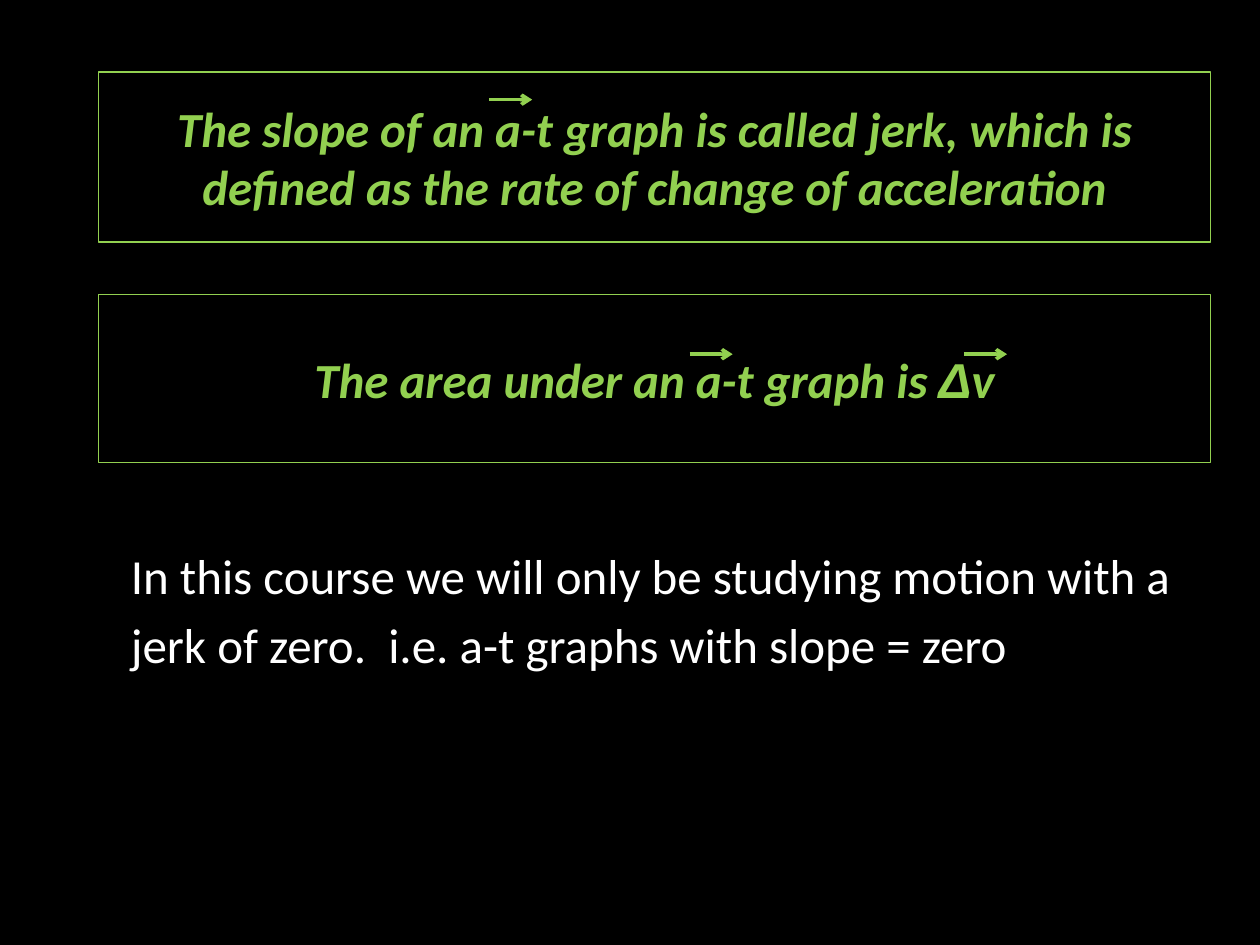
from pptx import Presentation, util as u
from pptx.dml.color import RGBColor
from pptx.enum import shapes, text
from pptx.oxml.ns import qn
from lxml import etree

GREEN = RGBColor(0x92, 0xD0, 0x50)
WHITE = RGBColor(0xFF, 0xFF, 0xFF)
BLACK = RGBColor(0, 0, 0)

BOX_LEFT, BOX_WIDTH, ARROW_LENGTH = 1.98, 22.43, 0.87
RULES = [
    dict(top=1.45, height=3.43, arrow_y=2.01, arrows=[9.86],
         runs=[("The slope of an a-t graph is called jerk, which is "
                "defined as the rate of change of acceleration", "Calibri")]),
    dict(top=5.94, height=3.38, arrow_y=7.14, arrows=[13.9, 19.43],
         runs=[("The area under an a-t graph is ", "Calibri"),
               ("Δ", "Arial"), ("v", "Calibri")]),
]
NOTE = ["In this course we will only be studying motion with a",
        "jerk of zero.  i.e. a-t graphs with slope = zero"]


def format_paragraph(p, color):
    p.space_before = u.Pt(5.6)
    p.font.size = u.Pt(28)
    p.font.name = "Calibri"
    p.font.color.rgb = color


def add_box(parent, rule):
    sp = parent.add_shape(shapes.MSO_SHAPE.RECTANGLE, u.Cm(BOX_LEFT), u.Cm(rule["top"]),
                          u.Cm(BOX_WIDTH), u.Cm(rule["height"]))
    sp.shadow.inherit = False
    sp.fill.background()
    sp.line.color.rgb = GREEN
    sp.line.width = u.Pt(0.75)
    tf = sp.text_frame
    tf.word_wrap = True
    tf.vertical_anchor = text.MSO_ANCHOR.MIDDLE
    p = tf.paragraphs[0]
    p.alignment = text.PP_ALIGN.CENTER
    format_paragraph(p, GREEN)
    p.font.bold = p.font.italic = True
    for words, font in rule["runs"]:
        r = p.add_run()
        r.text = words
        r.font.name = font


def add_arrow(parent, x, y):
    cx = parent.add_connector(shapes.MSO_CONNECTOR.STRAIGHT, u.Cm(x), u.Cm(y),
                              u.Cm(x + ARROW_LENGTH), u.Cm(y))
    cx.line.color.rgb = GREEN
    cx.line.width = u.Pt(2)
    etree.SubElement(cx.line._get_or_add_ln(), qn("a:tailEnd"), type="arrow")
    etree.SubElement(cx._element.spPr, qn("a:effectLst"))


prs = Presentation()
prs.slide_width, prs.slide_height = u.Cm(25.4), u.Cm(19.05)
s = prs.slides.add_slide(prs.slide_layouts[6])
s.background.fill.solid()
s.background.fill.fore_color.rgb = BLACK

for rule in RULES:
    group = s.shapes.add_group_shape().shapes
    add_box(group, rule)
    for x in rule["arrows"]:
        add_arrow(group, x, rule["arrow_y"])

tf = s.shapes.add_textbox(u.Cm(2.39), u.Cm(10.87), u.Cm(22.02), u.Cm(2.67)).text_frame
tf.word_wrap = True
for i, line in enumerate(NOTE):
    p = tf.add_paragraph() if i else tf.paragraphs[0]
    p.text = line
    format_paragraph(p, WHITE)
    pPr = p._p.get_or_add_pPr()
    pPr.set("marL", str(u.Cm(0.95)))
    pPr.set("indent", str(-u.Cm(0.95)))

prs.save("out.pptx")
